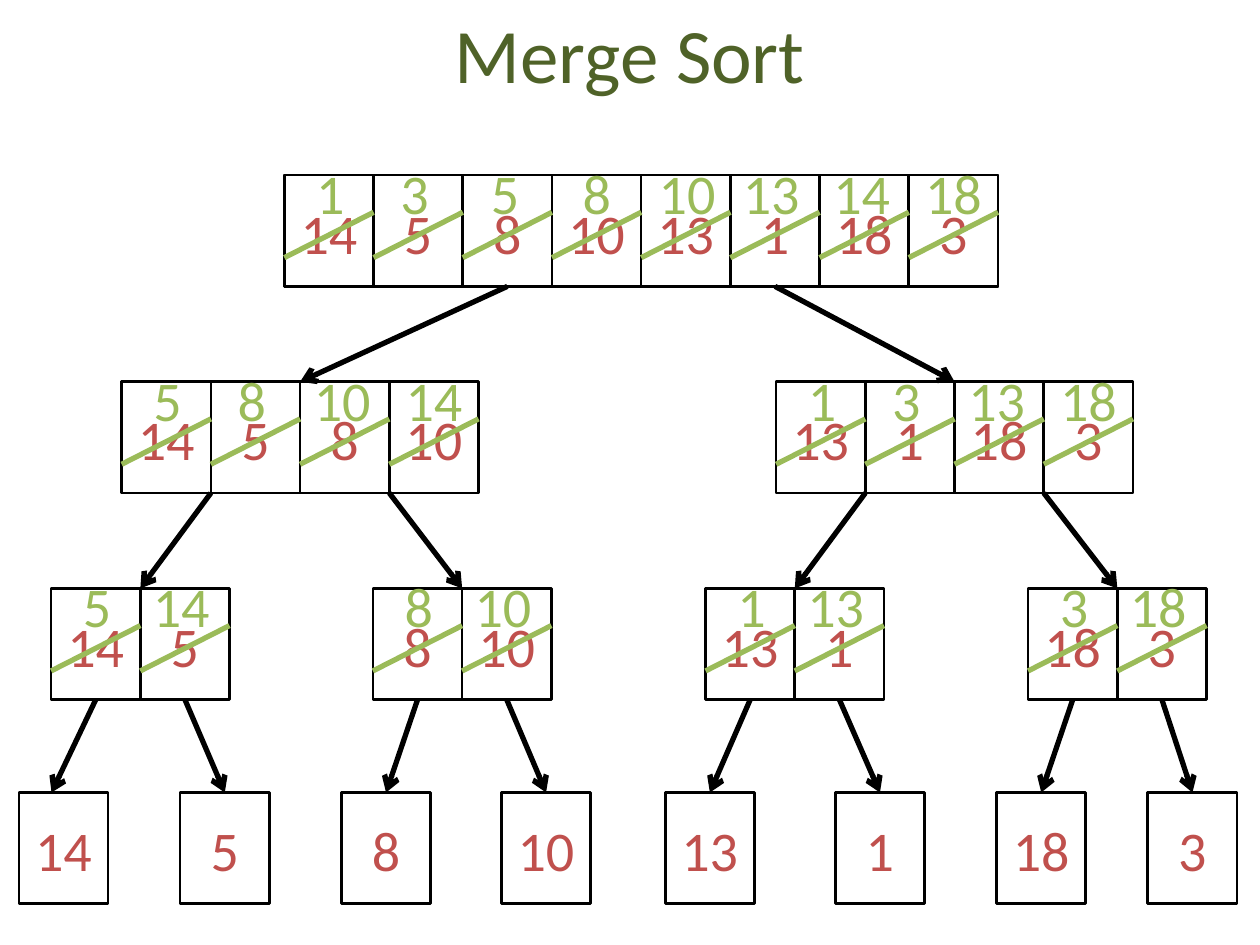
from lxml import etree
from pptx import Presentation
from pptx.dml.color import RGBColor
from pptx.enum.shapes import MSO_CONNECTOR as CONN, MSO_SHAPE as SHAPE
from pptx.enum.text import MSO_ANCHOR as ANCHOR, MSO_AUTO_SIZE as AUTO, PP_ALIGN as ALIGN
from pptx.oxml.ns import qn
from pptx.util import Inches, Pt

BLACK = RGBColor(0x00, 0x00, 0x00)
DARK_GREEN = RGBColor(0x4F, 0x62, 0x28)
GREEN = RGBColor(0x9B, 0xBB, 0x59)
RED = RGBColor(0xC0, 0x50, 0x4D)

COLS, ROWS = 100, 75
CELL_W, CELL_H = 7.08, 8.83
VALUES = [14, 5, 8, 10, 13, 1, 18, 3]
LEVELS = [
    (13.9, [22.57]),
    (30.3, [9.66, 61.6]),
    (46.7, [4.06, 29.6, 56, 81.6]),
    (62.9, [1.5, 14.3, 27.1, 39.8, 52.8, 66.3, 79.1, 91.1]),
]
ARROW_STARTS = [(2.5, 5.5), (1, 3), (0.5, 1.5)]
TIP_SHIFTS = {(3, 0): -0.95}
SORTED_SHIFTS = (0.3, -0.1, 0, 0.2)


class Deck:
    def __init__(self, font="Calibri"):
        self.font = font
        self.prs = Presentation()
        self.prs.slide_width, self.prs.slide_height = Inches(10), Inches(7.5)
        self.s = self.prs.slides.add_slide(self.prs.slide_layouts[5])

    def x(self, col):
        return round(self.prs.slide_width * col / COLS)

    def y(self, row):
        return round(self.prs.slide_height * row / ROWS)

    def place(self, col, row, w, h):
        return self.x(col), self.y(row), self.x(w), self.y(h)

    def add_text(self, tf, text, size, color):
        p = tf.paragraphs[0]
        p.alignment = ALIGN.CENTER
        r = p.add_run()
        r.text = text
        r.font.name, r.font.size = self.font, Pt(size)
        r.font.color.rgb = color

    def title(self, text, col, row, w, h):
        sp = self.s.shapes.title
        sp.left, sp.top, sp.width, sp.height = self.place(col, row, w, h)
        sp.text_frame.vertical_anchor = ANCHOR.MIDDLE
        self.add_text(sp.text_frame, text, 44, DARK_GREEN)

    def box(self, col, row, w=CELL_W, h=CELL_H):
        sp = self.s.shapes.add_shape(SHAPE.RECTANGLE, *self.place(col, row, w, h))
        sp.shadow.inherit = False
        sp.fill.background()
        sp.line.color.rgb, sp.line.width = BLACK, Pt(1.5)

    def number(self, value, col, row, w, color):
        tf = self.s.shapes.add_textbox(*self.place(col, row, w, 6.4)).text_frame
        tf.word_wrap, tf.auto_size = True, AUTO.SHAPE_TO_FIT_TEXT
        self.add_text(tf, str(value), 32, color)

    def line(self, start, end, color, arrow=False):
        c = self.s.shapes.add_connector(
            CONN.STRAIGHT, self.x(start[0]), self.y(start[1]), self.x(end[0]), self.y(end[1]))
        c.line.color.rgb, c.line.width = color, Pt(3)
        sp_pr = c.element.spPr
        if arrow:
            etree.SubElement(sp_pr.find(qn("a:ln")), qn("a:tailEnd"), type="arrow")
        etree.SubElement(sp_pr, qn("a:effectLst"))

    def save(self):
        self.prs.save("out.pptx")


deck = Deck()
deck.title("Merge Sort", 5, -2.1, 90, 12.5)

for depth, (top, lefts) in enumerate(LEVELS):
    size = len(VALUES) // len(lefts)
    for node, left in enumerate(lefts):
        part = VALUES[node * size:(node + 1) * size]
        cells = [left + i * CELL_W for i in range(size)]
        if depth == 0:
            deck.box(left, top, size * CELL_W)
        for value, col in zip(part, cells):
            deck.box(col, top)
            deck.number(value, col, top + 1.35, CELL_W, RED)
        if size == 1:
            continue

        child_top, child_lefts = LEVELS[depth + 1]
        for side, start in enumerate(ARROW_STARTS[depth]):
            child = 2 * node + side
            tip = child_lefts[child] + size * CELL_W / 4 + TIP_SHIFTS.get((depth + 1, child), 0)
            deck.line((left + start * CELL_W, top + CELL_H), (tip, child_top), BLACK, arrow=True)

        for i, (value, col) in enumerate(zip(sorted(part), cells)):
            deck.line((col + CELL_W, top + 2.95), (col, top + 6.55), GREEN)
            deck.number(value, col + SORTED_SHIFTS[i % 4], top - 1.8, 6.7, GREEN)

deck.save()
